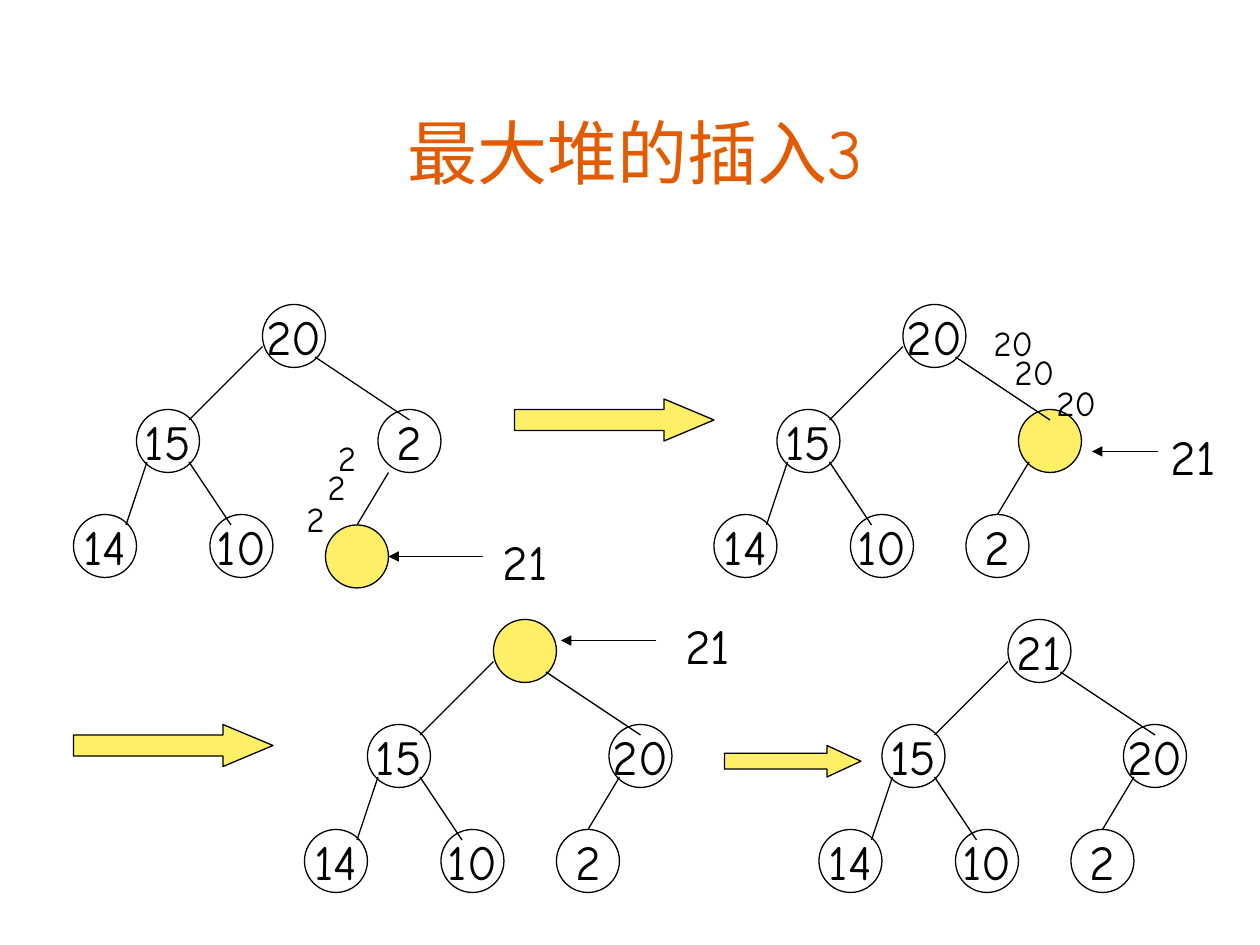
from lxml.etree import SubElement
from pptx import Presentation
from pptx.dml.color import RGBColor
from pptx.enum.shapes import MSO_CONNECTOR as Link, MSO_SHAPE as Kind
from pptx.enum.text import MSO_ANCHOR as Anchor, MSO_AUTO_SIZE as Fit, PP_ALIGN as Align
from pptx.oxml.ns import qn
from pptx.util import Pt

BLACK = RGBColor(0x00, 0x00, 0x00)
YELLOW = RGBColor(0xFF, 0xEF, 0x66)
ORANGE = RGBColor(0xE2, 0x5B, 0x00)
FONT = "Comic Neue"
SIZE = 36  # node diameter

# Offsets from the top left corner of the root node
NODES = [(0, 0), (-72, 60), (-108, 120), (-30, 120), (66, 60)]
LEAF = (36, 120)
EDGES = [
    (0, 24, -42, 66),
    (-66, 90, -78, 126),
    (-42, 90, -18, 126),
    (30, 30, 84, 66),
]
TWIG = (72, 90, 54, 120)

# Root position, keys by level (None is the open slot), drop of the last leaf
TREES = [
    (150, 174, ["20", "15", "14", "10", "2", None], 6),
    (516, 174, ["20", "15", "14", "10", None, "2"], 0),
    (282, 354, [None, "15", "14", "10", "20", "2"], 0),
    (576, 354, ["21", "15", "14", "10", "20", "2"], 0),
]
# New key: left, top, width, x of the arrow tip
INSERTS = [(276, 300, 48, 222), (661.5, 240, 40.5, 624), (375, 348, 59, 320.5)]
# Key that moves: text, box width, lefts, first top
MOVES = [
    ("2", 18, (186, 180, 168), 246),
    ("20", 54, (552, 564, 588), 180),
]
DROPS = (0, 16.5, 34.5)
# Left, top, width, height, head length
ARROWS = [
    (294, 228, 114, 24, 1.19),
    (42, 414, 114, 24, 1.19),
    (414, 426, 78, 18, 1.08),
]


def write(frame, text, size, color=BLACK):
    frame.text = text
    para = frame.paragraphs[0]
    para.alignment = Align.CENTER
    for run in para.runs:
        run.font.name = FONT
        run.font.size = Pt(size)
        run.font.color.rgb = color


def add_title(slide, text):
    title = slide.shapes.title
    title.left, title.top = Pt(54), Pt(54)
    title.width, title.height = Pt(618), Pt(60)
    frame = title.text_frame
    frame.auto_size = Fit.NONE
    frame.vertical_anchor = Anchor.BOTTOM
    write(frame, text, 40, ORANGE)


def add_form(slide, kind, x, y, w, h, fill=None):
    form = slide.shapes.add_shape(kind, Pt(x), Pt(y), Pt(w), Pt(h))
    form.shadow.inherit = False
    if fill is None:
        form.fill.background()
    else:
        form.fill.solid()
        form.fill.fore_color.rgb = fill
    form.line.color.rgb = BLACK
    form.line.width = Pt(0.75)
    return form


def add_node(slide, x, y, key):
    fill = YELLOW if key is None else None
    node = add_form(slide, Kind.FLOWCHART_CONNECTOR, x, y, SIZE, SIZE, fill)
    if key is not None:
        frame = node.text_frame
        frame.word_wrap = False
        frame.vertical_anchor = Anchor.MIDDLE
        write(frame, key, 28)


def add_line(slide, x1, y1, x2, y2, head=False):
    line = slide.shapes.add_connector(Link.STRAIGHT, Pt(x1), Pt(y1), Pt(x2), Pt(y2))
    line.line.color.rgb = BLACK
    line.line.width = Pt(0.75)
    if head:
        SubElement(line.line._get_or_add_ln(), qn("a:tailEnd"), type="triangle")
    SubElement(line._element.spPr, qn("a:effectLst"))


def add_label(slide, x, y, w, h, text, size):
    box = slide.shapes.add_textbox(Pt(x), Pt(y), Pt(w), Pt(h))
    box.text_frame.word_wrap = True
    write(box.text_frame, text, size)


def add_tree(slide, x, y, keys, drop):
    """Draw a heap; drop lowers the last leaf and its edge."""
    leaf = (LEAF[0], LEAF[1] + drop)
    for (dx, dy), key in zip(NODES + [leaf], keys):
        add_node(slide, x + dx, y + dy, key)
    x1, y1, x2, y2 = TWIG
    twig = (x1, y1 + drop, x2, y2 + drop)
    for x1, y1, x2, y2 in EDGES + [twig]:
        add_line(slide, x + x1, y + y1, x + x2, y + y2)


def add_insert(slide, x, y, w, tip):
    add_label(slide, x, y, w, 41, "21", 28)
    add_line(slide, x, y + 18, tip, y + 18, head=True)


def add_arrow(slide, x, y, w, h, head):
    arrow = add_form(slide, Kind.RIGHT_ARROW, x, y, w, h, YELLOW)
    arrow.adjustments[0] = 0.5
    arrow.adjustments[1] = head


def main():
    deck = Presentation()
    deck.slide_width, deck.slide_height = Pt(720), Pt(540)
    slide = deck.slides.add_slide(deck.slide_layouts[5])
    add_title(slide, "最大堆的插入3")
    for tree in TREES:
        add_tree(slide, *tree)
    for insert in INSERTS:
        add_insert(slide, *insert)
    for key, width, lefts, top in MOVES:
        for left, drop in zip(lefts, DROPS):
            add_label(slide, left, top + drop, width, 31.5, key, 20)
    for arrow in ARROWS:
        add_arrow(slide, *arrow)
    deck.save("out.pptx")


if __name__ == "__main__":
    main()
